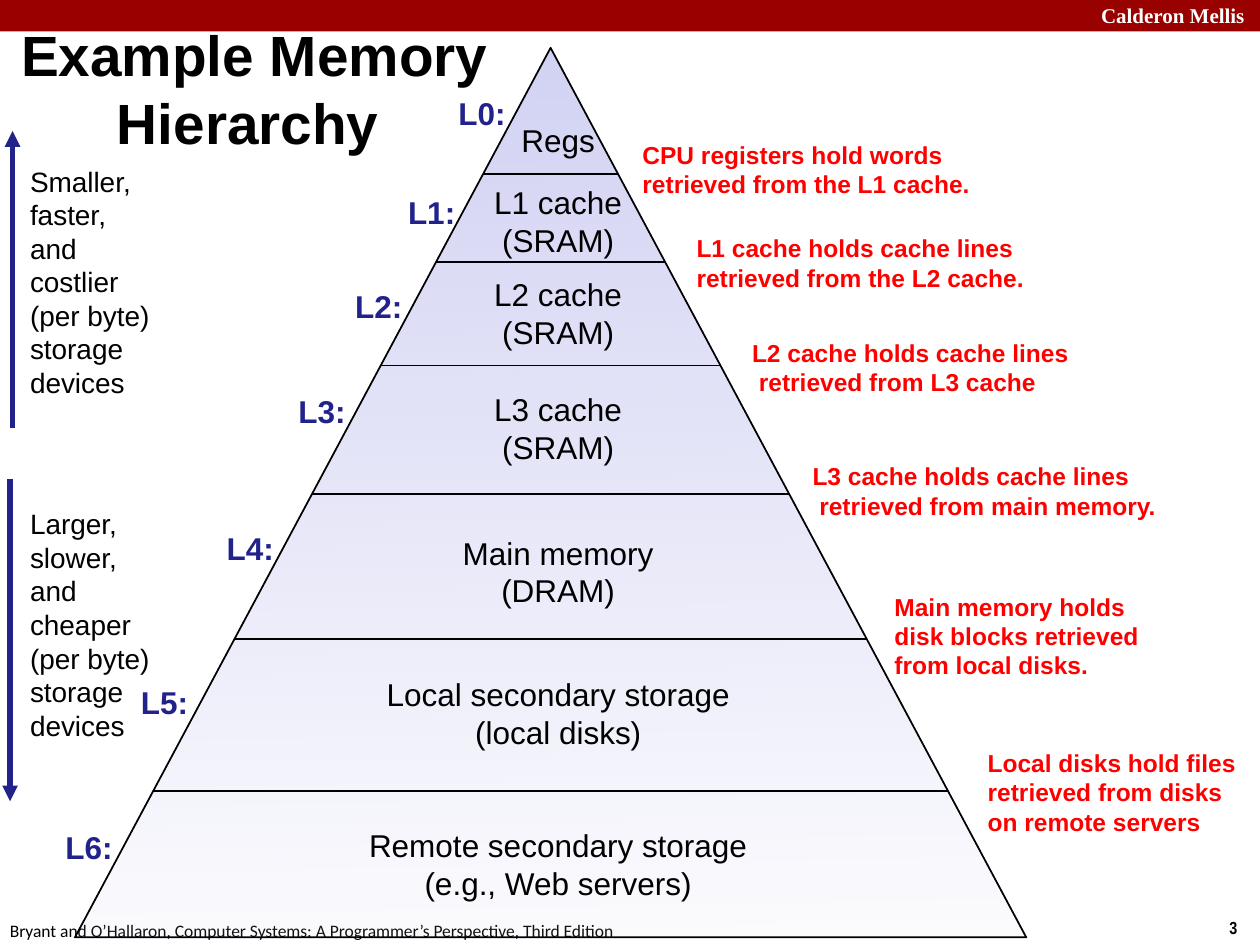
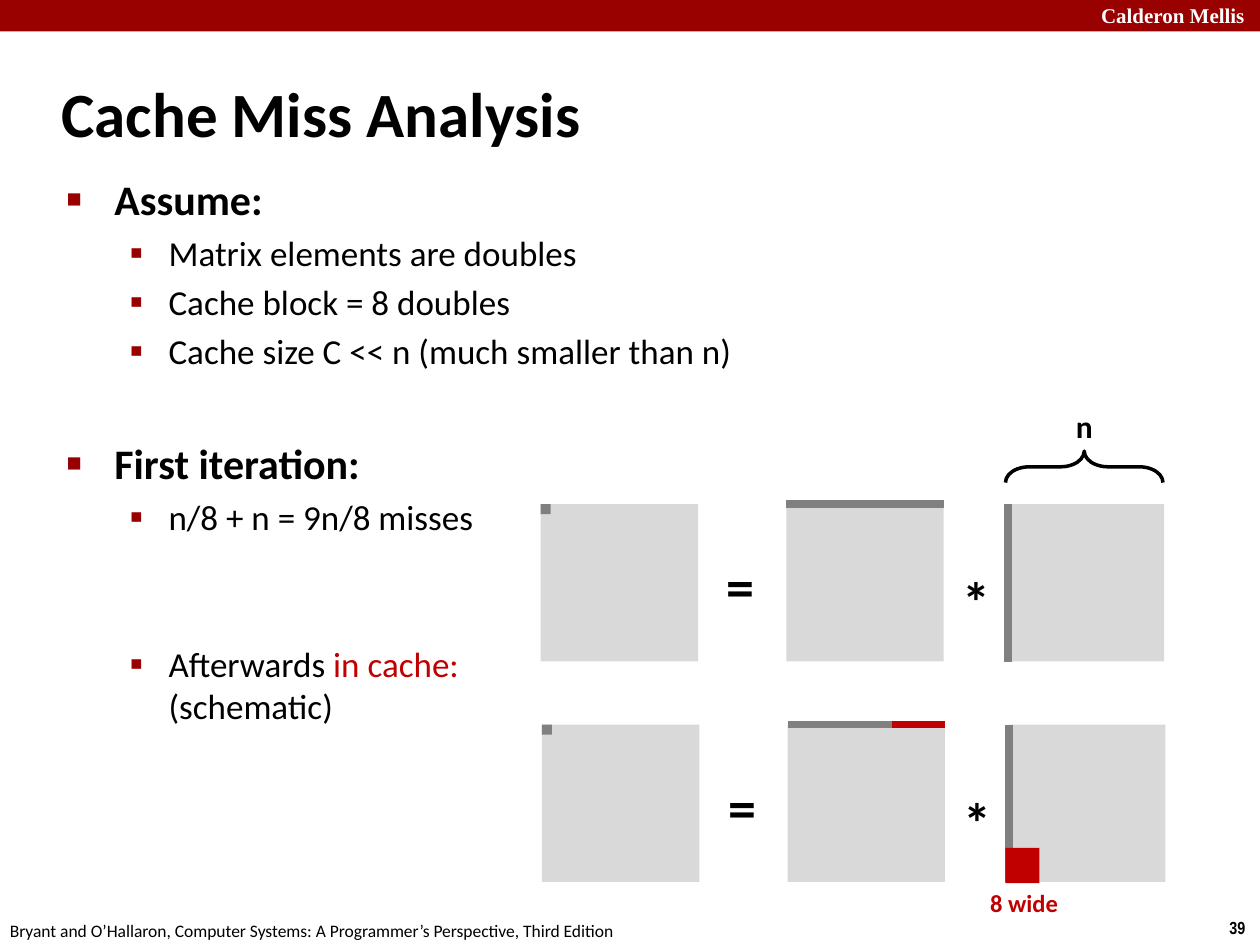
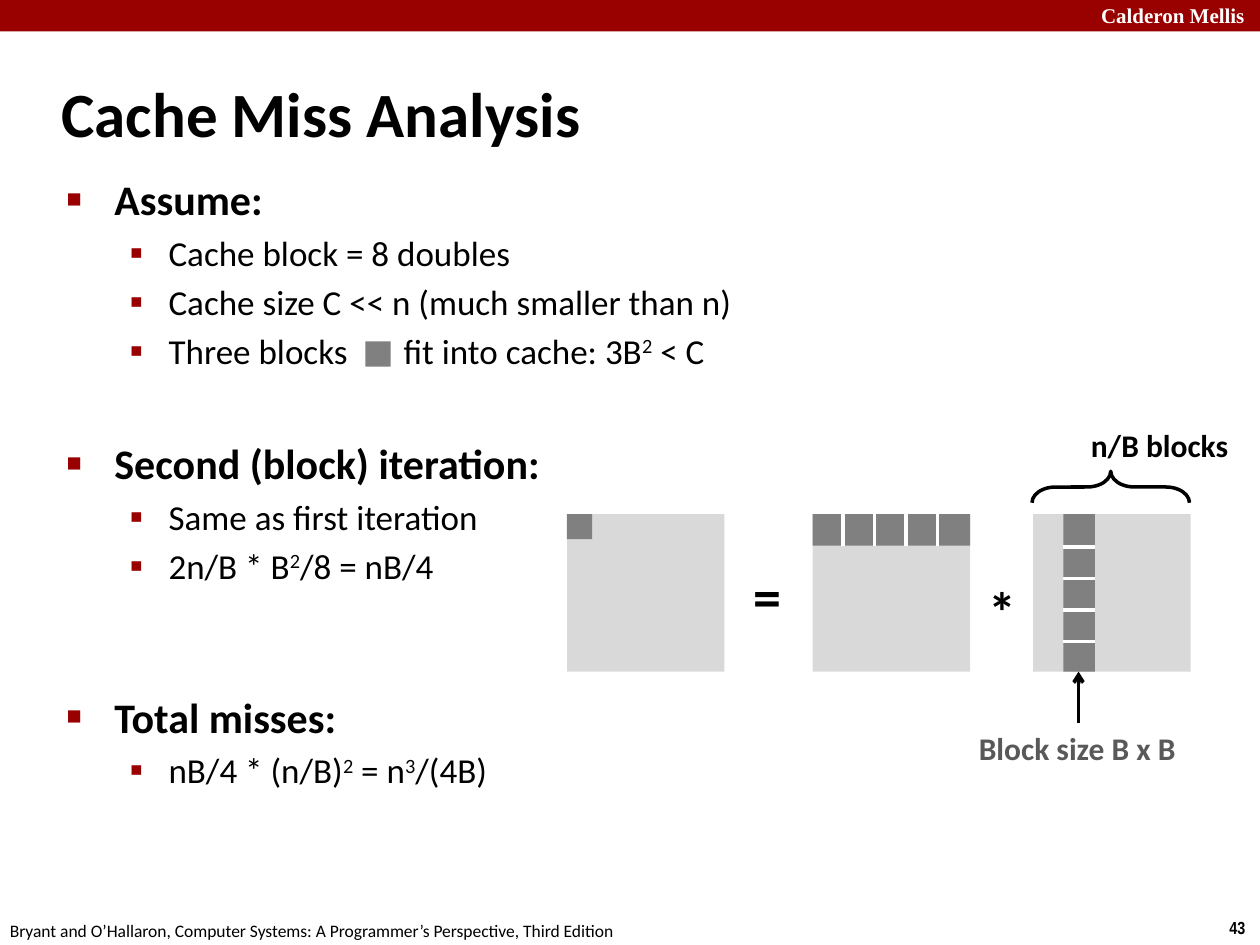
from lxml.etree import SubElement
from pptx import Presentation
from pptx.dml.color import RGBColor
from pptx.enum.shapes import MSO_CONNECTOR as LINE, MSO_SHAPE as SHAPE
from pptx.enum.text import MSO_ANCHOR as ANCHOR, MSO_AUTO_SIZE as FIT, PP_ALIGN as ALIGN
from pptx.oxml.ns import qn
from pptx.util import Pt

PX = 9144
BLACK, WHITE, CRIMSON = "000000", "FFFFFF", "990000"
NAVY, RED, LAVENDER = "22228B", "FF0000", "D2D2F4"
LIGHT, DARK, CACHED, SLATE = "D9D9D9", "808080", "C00000", "595959"

SCHOOL = "Calderon Mellis"
CREDIT = "Bryant and O’Hallaron, Computer Systems: A Programmer’s Perspective, Third Edition"
PAGES = (3, 39, 43)
ANALYSIS_TITLE = "Cache Miss Analysis"

APEX_X, APEX_Y, BASE_WIDTH, PYRAMID_HEIGHT = 437, 38, 755, 706
STORAGE_CENTER = 443
LEVELS = [
    ((354, 70), ["Regs"], 91, 79, 138),
    ((314, 148), ["L1 cache", "(SRAM)"], 140, 123, 208),
    ((272, 223), ["L2 cache", "(SRAM)"], 213, 123, 290),
    ((227, 306), ["L3 cache", "(SRAM)"], 304, 123, 392),
    ((170, 415), ["Main memory", "(DRAM)"], 418, 173, 507),
    ((102, 537), ["Local secondary storage", "(local disks)"], 530, 295, 628),
    ((42, 652), ["Remote secondary storage", "(e.g., Web servers)"], 650, 323, None),
]
NOTES = [
    ((500, 106, 319, 57), ["CPU registers hold words retrieved from the L1 cache."]),
    ((543, 180, 310, 57), ["L1 cache holds cache lines retrieved from the L2 cache."]),
    ((587, 263, 288, 57), ["L2 cache holds cache lines", " retrieved from L3 cache"]),
    ((635, 361, 315, 57), ["L3 cache holds cache lines", " retrieved from main memory."]),
    ((700, 464, 239, 81), ["Main memory holds disk blocks retrieved from local disks."]),
    ((774, 588, 226, 81),
     ["Local disks hold files retrieved from disks", "on remote servers"]),
]
TRENDS = [
    (124, "Smaller, faster, and costlier (per byte) storage devices", (10, 340, 10, 104)),
    (396, "Larger, slower, and cheaper (per byte) storage devices", (8, 380, 8, 636)),
]

HEAD, ITEM = 0, 1
FIRST_POINTS = [
    (HEAD, 0, ["Assume:"]),
    (ITEM, 4, ["Matrix elements are doubles"]),
    (ITEM, 4, ["Cache block = 8 doubles"]),
    (ITEM, 4, ["Cache size C << n (much smaller than n)"]),
    (HEAD, 38, ["First iteration:"]),
    (ITEM, 4, ["n/8 + n = 9n/8 misses"]),
    (ITEM, 60, ["Afterwards ", ("in cache:", "cached"), "\v(schematic)"]),
]
BLOCK_POINTS = [
    (HEAD, 0, ["Assume:"]),
    (ITEM, 4, ["Cache block = 8 doubles"]),
    (ITEM, 4, ["Cache size C << n (much smaller than n)"]),
    (ITEM, 4, ["Three blocks", (" ", "gap"), "fit into cache: 3B", ("2", "power"), " < C"]),
    (HEAD, 38, ["Second (block) iteration:"]),
    (ITEM, 4, ["Same as first iteration"]),
    (ITEM, 4, ["2n/B * B", ("2", "power"), "/8 = nB/4"]),
    (HEAD, 60, ["Total misses:"]),
    (ITEM, 4, ["nB/4 * (n/B)", ("2", "power"), " = n", ("3", "power"), "/(4B)"]),
]
BULLETS = {
    HEAD: dict(size=24, margin=38, hang=38, mark="■", scale=60),
    ITEM: dict(size=20, margin=81, hang=31, mark="▪", scale=110),
}
RUN_XML = {"power": ("baseline", "30000"), "gap": ("spc", "2740")}
MATRIX, BLOCK = 125, 25
SECOND, THIRD = 195, 370


def emu(*lengths):
    return [round(length * PX) for length in lengths]


def rgb(code):
    return RGBColor.from_string(code)


def add_run(paragraph, words, size, color=BLACK, bold=False, font="Calibri"):
    run = paragraph.add_run()
    run.text = words
    run.font.size, run.font.bold, run.font.name = Pt(size), bold, font
    run.font.color.rgb = rgb(color)
    return run


def add_text(slide, box, lines, size, color=BLACK, bold=False, font="Calibri",
             align=ALIGN.LEFT, anchor=ANCHOR.TOP, wrap=False, fit=FIT.SHAPE_TO_FIT_TEXT):
    frame = slide.shapes.add_textbox(*emu(*box)).text_frame
    frame.word_wrap, frame.auto_size, frame.vertical_anchor = wrap, fit, anchor
    for number, words in enumerate(lines):
        paragraph = frame.paragraphs[0] if number == 0 else frame.add_paragraph()
        paragraph.alignment = align
        add_run(paragraph, words, size, color, bold, font)
    return frame


def add_block(slide, box, fill, kind=SHAPE.RECTANGLE):
    block = slide.shapes.add_shape(kind, *emu(*box))
    block.shadow.inherit = False
    block.line.fill.background()
    if fill:
        block.fill.solid()
        block.fill.fore_color.rgb = rgb(fill)
    else:
        block.fill.background()
    return block


def outline(part, color, width):
    part.line.color.rgb = rgb(color)
    part.line.width = Pt(width)


def add_line(slide, ends, color, width, arrow=None):
    connector = slide.shapes.add_connector(LINE.STRAIGHT, *emu(*ends))
    outline(connector, color, width)
    if arrow:
        SubElement(connector.line._get_or_add_ln(), qn("a:tailEnd"), type=arrow)
    SubElement(connector.element.spPr, qn("a:effectLst"))


def set_indent(paragraph, margin, hang):
    properties = paragraph._p.get_or_add_pPr()
    properties.set("marL", str(margin * PX))
    properties.set("indent", str(-hang * PX))
    return properties


def new_slide(deck, page):
    slide = deck.slides.add_slide(deck.slide_layouts[6])
    add_block(slide, (0, 0, 1000, 25), CRIMSON)
    add_text(slide, (864, -3, 143, 30), [SCHOOL], 12, WHITE, True, "Times New Roman", wrap=True)
    add_text(slide, (966, 723, 34, 27), [str(page)], 10, bold=True, font="Arial Narrow")
    add_text(slide, (-2, 725, 508, 27), [CREDIT], 10)
    return slide


def add_title(slide, box, lines, size, font):
    return add_text(slide, box, lines, size, bold=True, font=font,
                    anchor=ANCHOR.MIDDLE, wrap=True, fit=FIT.NONE)


def add_points(slide, height, points):
    frame = add_text(slide, (43, 133, 864, height), [], 20, wrap=True, fit=FIT.NONE)
    for number, (level, space, pieces) in enumerate(points):
        style = BULLETS[level]
        paragraph = frame.paragraphs[0] if number == 0 else frame.add_paragraph()
        paragraph.level = level
        paragraph.space_before = Pt(space)
        properties = set_indent(paragraph, style["margin"], style["hang"])
        SubElement(SubElement(properties, qn("a:buClr")), qn("a:srgbClr"), val=CRIMSON)
        SubElement(properties, qn("a:buSzPct"), val=str(style["scale"] * 1000))
        SubElement(properties, qn("a:buFont"), typeface="Arial")
        SubElement(properties, qn("a:buChar"), char=style["mark"])
        for piece in pieces:
            words, role = (piece, None) if isinstance(piece, str) else piece
            if words.startswith("\v"):
                paragraph.add_line_break()
                words = words[1:]
            run = add_run(paragraph, words, style["size"],
                          CACHED if role == "cached" else BLACK, level == HEAD)
            if role in RUN_XML:
                run._r.get_or_add_rPr().set(*RUN_XML[role])


def add_product(slide, left, top, corner):
    for offset in (0, SECOND, THIRD):
        add_block(slide, (left + offset, top, MATRIX, MATRIX), LIGHT)
    for sign, across, down in (("=", 138, 33), ("*", 325, 45)):
        add_text(slide, (left + across, top + down, 43, 64), [sign], 32, bold=True)
    add_block(slide, (left, top, corner, corner), DARK)


def add_brace(slide, left, top, label, label_box):
    depth = 25
    shift = (MATRIX - depth) / 2
    brace = add_block(slide, (left + shift, top - shift, depth, MATRIX), None, SHAPE.LEFT_BRACE)
    brace.rotation = 90
    brace.adjustments[0], brace.adjustments[1] = 0.75, 0.5
    outline(brace, BLACK, 2)
    add_text(slide, label_box, [label], 18, bold=True)


def build_hierarchy(slide):
    title = add_title(slide, (7, 27, 953, 86), ["Example Memory", "Hierarchy"], 32.4, "Arial")
    set_indent(title.paragraphs[1], 76, 0)

    pyramid = add_block(slide, (APEX_X - BASE_WIDTH / 2, APEX_Y, BASE_WIDTH, PYRAMID_HEIGHT),
                        LAVENDER, SHAPE.ISOSCELES_TRIANGLE)
    pyramid.fill.gradient()
    pyramid.fill.gradient_angle = 91
    for stop in pyramid.fill.gradient_stops:
        stop.color.rgb = rgb(LAVENDER)
    faint = next(pyramid.element.iter(qn("a:srgbClr")))
    SubElement(faint, qn("a:alpha"), val="7000")
    outline(pyramid, BLACK, 1)

    for number, (label_at, storage, top, width, floor) in enumerate(LEVELS):
        add_text(slide, (*label_at, 58, 40), [f"L{number}:"], 18, NAVY, True, "Arial",
                 anchor=ANCHOR.MIDDLE)
        box = (STORAGE_CENTER - width / 2, top, width, 9 + 31 * len(storage))
        add_text(slide, box, storage, 18, font="Arial", align=ALIGN.CENTER, anchor=ANCHOR.MIDDLE)
        if floor:
            reach = (floor - APEX_Y) / PYRAMID_HEIGHT * BASE_WIDTH / 2
            add_line(slide, (APEX_X - reach, floor, APEX_X + reach, floor), BLACK, 1)
    for box, lines in NOTES:
        add_text(slide, box, lines, 14, RED, True, "Arial", anchor=ANCHOR.MIDDLE, wrap=True)
    for top, words, arrow in TRENDS:
        lines = words.replace("(per byte)", "(per_byte)").split()
        add_text(slide, (14, top, 116, 199), [line.replace("_", " ") for line in lines], 16,
                 font="Arial", anchor=ANCHOR.MIDDLE)
        add_line(slide, arrow, NAVY, 3, "triangle")


def build_first_iteration(slide):
    add_title(slide, (39, 48, 830, 83), [ANALYSIS_TITLE], 36, "Calibri")
    add_points(slide, 334, FIRST_POINTS)
    for left, top in ((429, 400), (430, 575)):
        add_product(slide, left, top, 8)
        row, column = left + SECOND, left + THIRD + 1
        add_line(slide, (row, top, row + MATRIX, top), DARK, 4.5)
        add_line(slide, (column, top, column, top + MATRIX), DARK, 4.5)
    add_brace(slide, 798, 358, "n", (844, 318, 34, 40))
    add_line(slide, (708, 575, 750, 575), CACHED, 4.5)
    add_block(slide, (798, 673, 27, 28), CACHED)
    add_text(slide, (776, 700, 74, 34), ["8 wide"], 14, CACHED, True)


def build_block_iteration(slide):
    add_title(slide, (39, 48, 830, 83), [ANALYSIS_TITLE], 36, "Calibri")
    add_points(slide, 584, BLOCK_POINTS)
    left, top = 450, 408
    add_product(slide, left, top, 20)
    row, column = left + SECOND, left + THIRD + 24
    add_block(slide, (row, top, MATRIX, BLOCK), DARK)
    add_block(slide, (column, top, BLOCK, MATRIX), DARK)
    for step in range(BLOCK, MATRIX, BLOCK):
        add_line(slide, (row + step - 1, top, row + step - 1, top + BLOCK), WHITE, 2)
        add_line(slide, (column, top + step + 1, column + BLOCK, top + step + 1), WHITE, 2)
    add_text(slide, (767, 574, 178, 40), ["Block size B x B"], 18, SLATE, True)
    add_line(slide, (856, 574, 856, 533), BLACK, 2, "arrow")
    add_block(slide, (290, 271, 20, 20), DARK)
    add_brace(slide, 819, 374, "n/B blocks", (856, 333, 130, 40))


def main():
    deck = Presentation()
    deck.slide_width, deck.slide_height = emu(1000, 750)
    builders = (build_hierarchy, build_first_iteration, build_block_iteration)
    for page, build in zip(PAGES, builders):
        build(new_slide(deck, page))
    deck.save("out.pptx")


if __name__ == "__main__":
    main()
